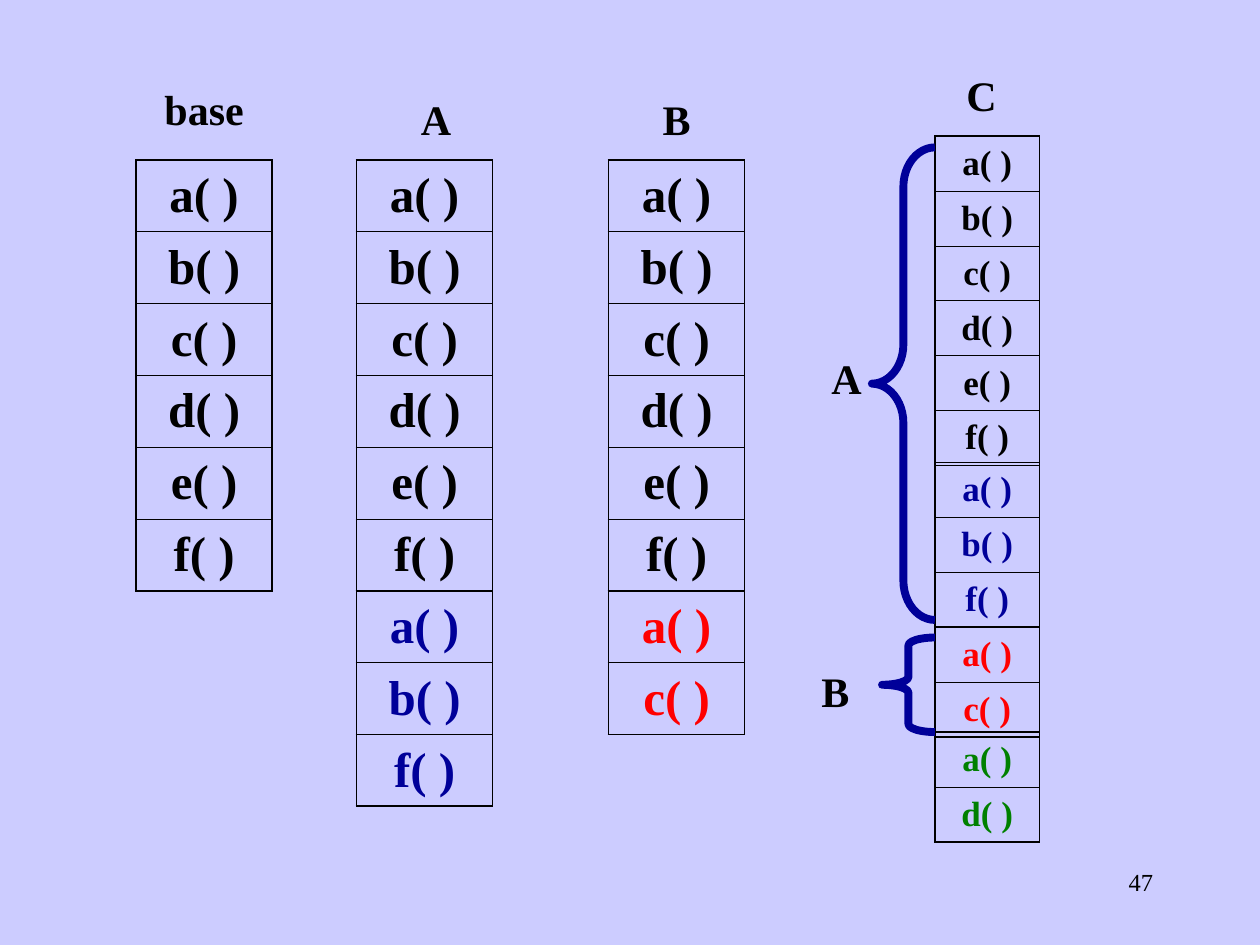
from lxml import etree
from pptx import Presentation
from pptx.dml.color import RGBColor
from pptx.enum.shapes import MSO_SHAPE
from pptx.enum.text import MSO_ANCHOR, PP_ALIGN
from pptx.oxml.ns import qn
from pptx.util import Inches, Pt

LEFT_BRACE = MSO_SHAPE.LEFT_BRACE
MIDDLE = MSO_ANCHOR.MIDDLE
LEFT, CENTER, RIGHT = PP_ALIGN.LEFT, PP_ALIGN.CENTER, PP_ALIGN.RIGHT
COLORS = {
    "background": "CCCCFF",
    "black": "000000",
    "blue": "000099",
    "red": "FF0000",
    "green": "008000",
}
FONT = "Times New Roman"
OUTER, INNER = 1.08, 0.45
BASE_METHODS = "abcdef"


def rgb(name):
    return RGBColor.from_string(COLORS[name])


def write_text(tf, text, size=24, color="black", bold=True, align=CENTER):
    p = tf.paragraphs[0]
    p.alignment = align
    r = p.add_run()
    r.text = text
    r.font.name = FONT
    r.font.size = Pt(size)
    r.font.bold = bold
    r.font.color.rgb = rgb(color)


class SlideBuilder:
    """Draws method tables, labels and braces on one slide."""

    def __init__(self, prs):
        self.s = prs.slides.add_slide(prs.slide_layouts[6])
        fill = self.s.background.fill
        fill.solid()
        fill.fore_color.rgb = rgb("background")

    def label(self, text, x, y, w=1.08, **style):
        sp = self.s.shapes.add_textbox(Inches(x), Inches(y), Inches(w), Inches(0.5))
        sp.text_frame.word_wrap = True
        write_text(sp.text_frame, text, **style)

    def border(self, cell, side, width):
        tcPr = cell._tc.get_or_add_tcPr()
        ln = etree.SubElement(tcPr, qn(f"a:ln{side}"), w=str(Pt(width)))
        fill = etree.SubElement(ln, qn("a:solidFill"))
        etree.SubElement(fill, qn("a:srgbClr"), val=COLORS["black"])

    def method_table(self, methods, x, y, w, row_h, size, color):
        n = len(methods)
        frame = self.s.shapes.add_table(
            n, 1, Inches(x), Inches(y), Inches(w), Inches(row_h * n)
        )
        table = frame.table
        table.first_row = table.horz_banding = False
        for i, name in enumerate(methods):
            table.rows[i].height = Inches(row_h)
            cell = table.cell(i, 0)
            cell.vertical_anchor = MIDDLE
            write_text(cell.text_frame, f"{name}( )", size=size, color=color)
            self.border(cell, "L", OUTER)
            self.border(cell, "R", OUTER)
            self.border(cell, "T", OUTER if i == 0 else INNER)
            self.border(cell, "B", OUTER if i == n - 1 else INNER)
            cell.fill.background()

    def brace(self, x, y, w, h):
        sp = self.s.shapes.add_shape(
            LEFT_BRACE, Inches(x), Inches(y), Inches(w), Inches(h)
        )
        sp.adjustments[0] = h / 12 / min(w, h)
        sp.shadow.inherit = False
        sp.fill.background()
        sp.line.color.rgb = rgb("blue")
        sp.line.width = Pt(4.5)


def main():
    prs = Presentation()
    prs.slide_width, prs.slide_height = Inches(10), Inches(7.5)
    slide = SlideBuilder(prs)

    large = {"w": 1.08, "row_h": 0.57, "size": 28}
    top = 1.27
    added_top = top + len(BASE_METHODS) * large["row_h"]
    for x, added, color in (
        (1.08, "", "black"),
        (2.83, "abf", "blue"),
        (4.83, "ac", "red"),
    ):
        slide.method_table(BASE_METHODS, x, top, color="black", **large)
        if added:
            slide.method_table(added, x, added_top, color=color, **large)

    small = {"w": 0.83, "row_h": 0.436, "size": 20}
    for methods, y, color in (
        (BASE_METHODS, 1.08, "black"),
        ("abf", 3.67, "blue"),
        ("ac", 4.98, "red"),
        ("ad", 5.81, "green"),
    ):
        slide.method_table(methods, 7.42, y, color=color, **small)

    for text, x, y in (
        ("base", 1.08, 0.61),
        ("A", 2.92, 0.69),
        ("B", 4.83, 0.69),
        ("C", 7.25, 0.5),
    ):
        slide.label(text, x, y)

    slide.brace(6.92, 1.17, 0.5, 3.75)
    slide.label("A", 6.5, 2.75, w=0.5, align=LEFT)
    slide.brace(7, 5.06, 0.42, 0.75)
    slide.label("B", 6.42, 5.23, w=0.58, align=LEFT)
    slide.label("47", 7.17, 6.83, w=2.08, size=14, bold=False, align=RIGHT)

    prs.save("out.pptx")


if __name__ == "__main__":
    main()
